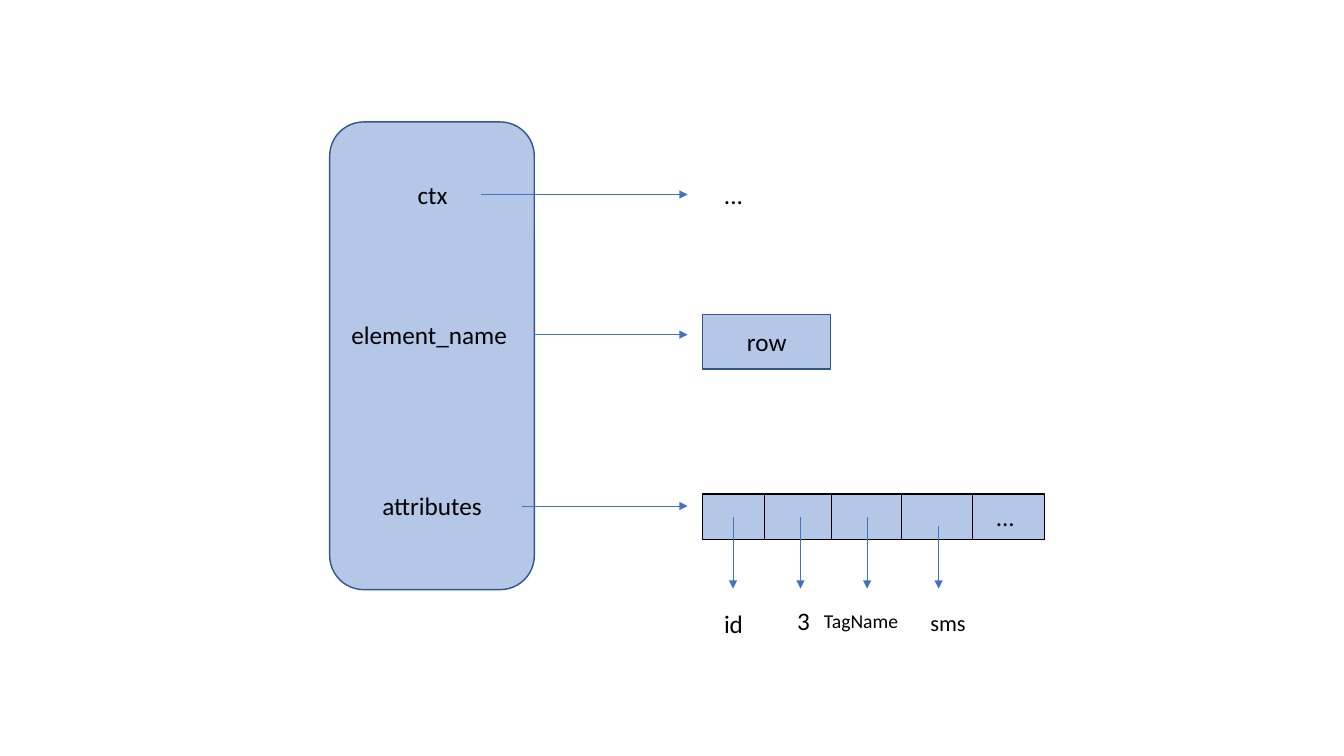
"""Draw a record whose three fields point to their values."""
from dataclasses import dataclass

from lxml import etree
from pptx import Presentation
from pptx.dml import color
from pptx.enum import shapes, text
from pptx.oxml import ns
from pptx.util import Inches, Pt

BLUE, EDGE, PALE, BLACK = "4472C4", "325491", "B4C7E7", "000000"
BAR_X, BAR_Y, BAR_W, BAR_H = 6.97, 4.9, 3.39, 0.45
TIP_X, TIP_Y = 6.82, 5.84


@dataclass
class Box:
    left: float
    top: float
    width: float
    height: float
    edge: str
    words: str = ""
    kind: int = shapes.MSO_SHAPE.RECTANGLE
    inset: float = 0.1


@dataclass
class Label:
    words: str
    left: float
    top: float
    width: float
    height: float = 0.4
    size: int = 18
    align: int = text.PP_ALIGN.CENTER


@dataclass
class Line:
    x1: float
    y1: float
    x2: float
    y2: float
    hue: str = BLUE
    arrow: bool = True


BOXES = [
    Box(3.27, 1.21, 2.03, 4.64, EDGE, kind=shapes.MSO_SHAPE.ROUNDED_RECTANGLE),
    Box(BAR_X, 3.12, 1.27, 0.54, EDGE, "row"),
    Box(BAR_X, BAR_Y, BAR_W, BAR_H, BLACK, "...", inset=2.71),
]
LABELS = [
    Label("ctx", 3.92, 1.73, 0.74),
    Label("...", BAR_X, 1.73, 0.61),
    Label("element_name ", 2.85, 3.12, 2.87),
    Label("attributes", 3.53, 4.82, 1.51),
    Label("id", BAR_X, 5.99, 0.61),
    Label("3", 7.79, 5.96, 0.36),
    Label("TagName", 7.95, 5.99, 1.18, 0.34, 14),
    Label("sms", 9.13, 5.99, 0.63, 0.37, 16, text.PP_ALIGN.LEFT),
]
FIELDS = [(4.77, 1.93), (5.3, 3.32), (5.18, 5.02)]
SPLITS = [7.58, 8.25, 8.94, 9.64]
CELLS = [(7.27, 5.13), (7.94, 5.13), (8.6, 5.13), (9.31, 5.22)]
LINES = (
    [Line(x, y, TIP_X, y) for x, y in FIELDS]
    + [Line(x, BAR_Y, x, BAR_Y + BAR_H, BLACK, False) for x in SPLITS]
    + [Line(x, y, x, TIP_Y) for x, y in CELLS]
)


def rgb(code: str) -> color.RGBColor:
    """Turn a hex string into a colour."""
    return color.RGBColor.from_string(code)


def apply(item, style: dict) -> None:
    """Set each format value on the item."""
    for name, value in style.items():
        setattr(item, name, value)


def write(frame, words: str, size: int, align: int) -> None:
    """Put one black line of text in the frame."""
    para = frame.paragraphs[0]
    para.alignment = align
    run = para.add_run()
    run.text = words
    apply(run.font, {"name": "Calibri", "size": Pt(size)})
    run.font.color.rgb = rgb(BLACK)


def draw_box(slide, box: Box) -> None:
    """Draw a pale block with its text."""
    shape = slide.shapes.add_shape(
        box.kind, *map(Inches, (box.left, box.top, box.width, box.height)))
    shape.shadow.inherit = False
    shape.fill.solid()
    shape.fill.fore_color.rgb = rgb(PALE)
    shape.line.color.rgb = rgb(box.edge)
    shape.line.width = Pt(1)
    if box.words:
        apply(shape.text_frame, {
            "margin_left": Inches(box.inset),
            "vertical_anchor": text.MSO_ANCHOR.MIDDLE,
        })
        write(shape.text_frame, box.words, 18, text.PP_ALIGN.CENTER)


def draw_label(slide, label: Label) -> None:
    """Draw a free text label."""
    frame = slide.shapes.add_textbox(*map(
        Inches, (label.left, label.top, label.width, label.height))).text_frame
    apply(frame, {
        "word_wrap": True,
        "auto_size": text.MSO_AUTO_SIZE.SHAPE_TO_FIT_TEXT,
    })
    write(frame, label.words, label.size, label.align)


def draw_line(slide, line: Line) -> None:
    """Draw a thin line, with an arrowhead if asked."""
    link = slide.shapes.add_connector(
        shapes.MSO_CONNECTOR.STRAIGHT,
        *map(Inches, (line.x1, line.y1, line.x2, line.y2)))
    link.line.color.rgb = rgb(line.hue)
    link.line.width = Pt(0.5)
    props = link._element.spPr
    if line.arrow:
        stroke = props.find(ns.qn("a:ln"))
        etree.SubElement(stroke, ns.qn("a:tailEnd"), type="triangle")
    etree.SubElement(props, ns.qn("a:effectLst"))


def main() -> None:
    """Build and save the slide."""
    deck = Presentation()
    apply(deck, {"slide_width": Inches(13.33), "slide_height": Inches(7.5)})
    slide = deck.slides.add_slide(deck.slide_layouts[6])
    for box in BOXES:
        draw_box(slide, box)
    for label in LABELS:
        draw_label(slide, label)
    for line in LINES:
        draw_line(slide, line)
    deck.save("out.pptx")


if __name__ == "__main__":
    main()
